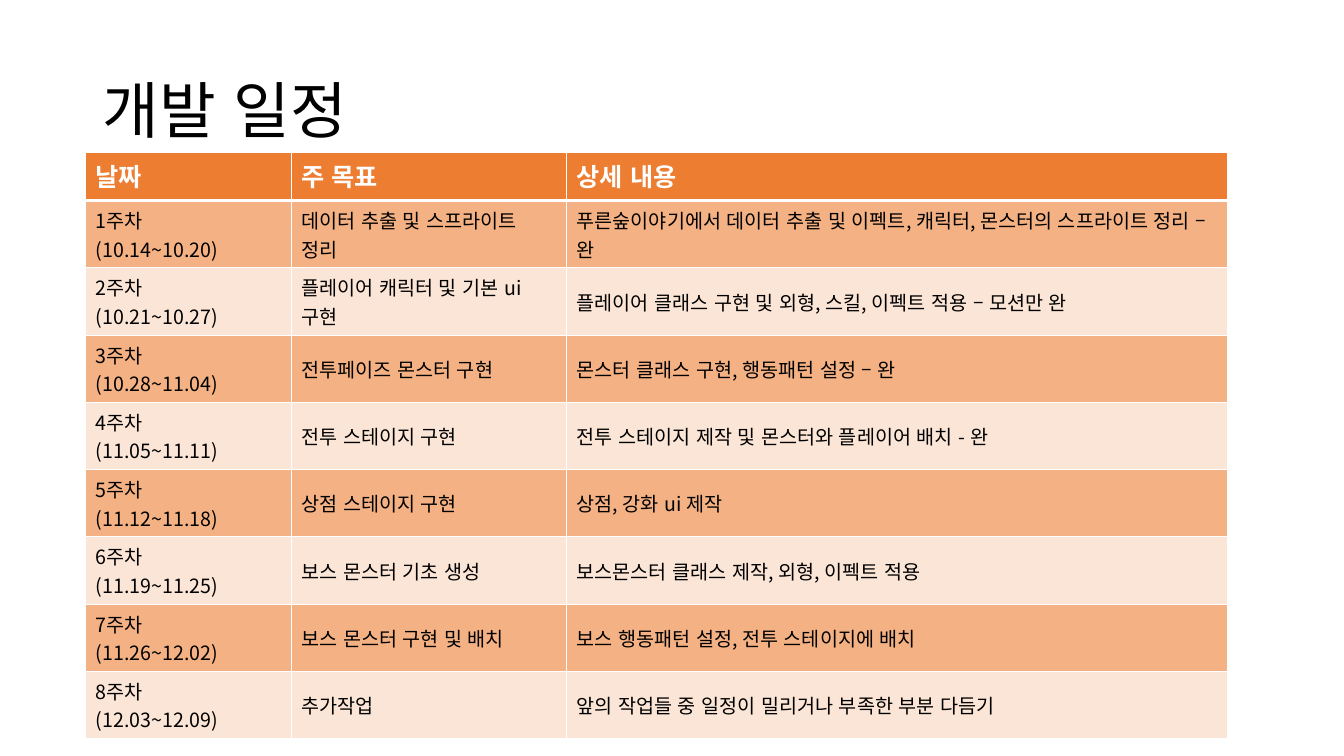
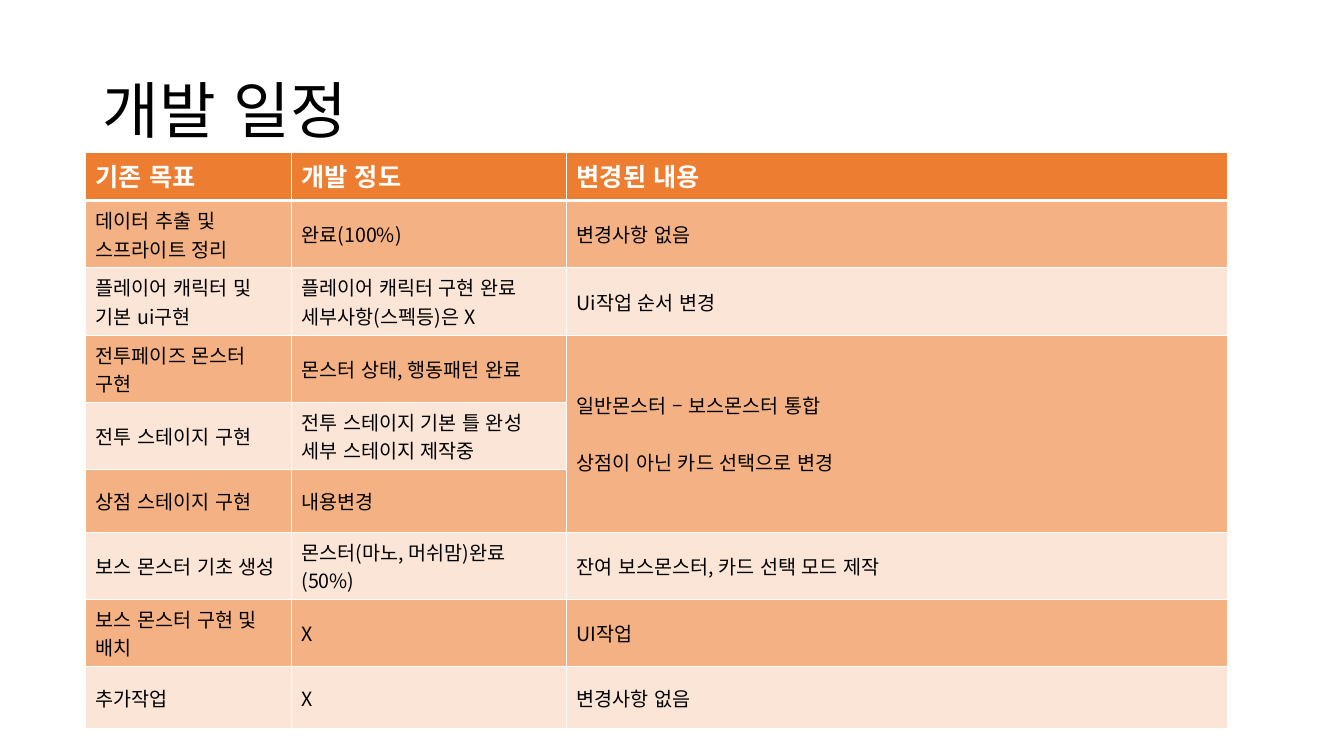
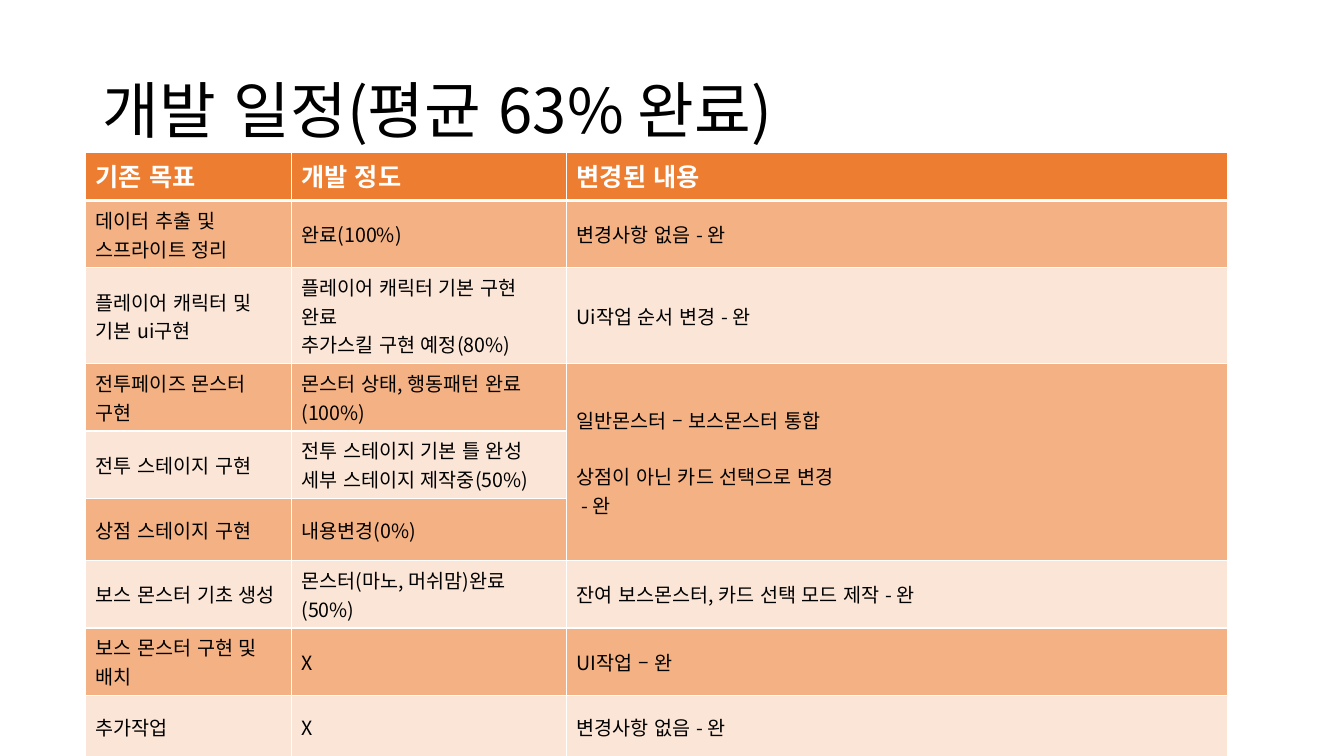
"""Build three slides with the development schedule of a game."""
from dataclasses import dataclass

from lxml.etree import SubElement
from pptx import Presentation
from pptx.dml.color import RGBColor as Rgb
from pptx.enum.lang import MSO_LANGUAGE_ID as Lang
from pptx.enum.text import MSO_ANCHOR as Anchor, PP_ALIGN as Align
from pptx.oxml import parse_xml
from pptx.oxml.ns import nsdecls, qn
from pptx.util import Inches, Pt

FONT = "Noto Sans CJK KR"
HUES = {
    "head": "ED7D31",
    "odd": "F4B183",
    "even": "FBE5D6",
    "white": "FFFFFF",
    "black": "000000",
}
COLS = (2.04, 2.73, 6.56)
HEAD_H, ROW_H = 0.48, 0.62
GOALS = (
    "데이터 추출 및 스프라이트 정리",
    "플레이어 캐릭터 및 기본 ui구현",
    "전투페이즈 몬스터 구현",
    "전투 스테이지 구현",
    "상점 스테이지 구현",
    "보스 몬스터 기초 생성",
    "보스 몬스터 구현 및 배치",
    "추가작업",
)
DATES = (
    "10.14~10.20", "10.21~10.27", "10.28~11.04", "11.05~11.11",
    "11.12~11.18", "11.19~11.25", "11.26~12.02", "12.03~12.09",
)
WEEKS = tuple(f"{num}주차\n({span})" for num, span in enumerate(DATES, 1))
STATE = ("기존 목표", "개발 정도", "변경된 내용")


@dataclass(frozen=True)
class Plan:
    """Hold one slide; None continues the cell above."""

    title: str
    heads: tuple[str, ...]
    cols: tuple[tuple[str | None, ...], ...]


PLANS = (
    Plan("개발 일정", ("날짜", "주 목표", "상세 내용"), (WEEKS, GOALS, (
        "푸른숲이야기에서 데이터 추출 및 이펙트, 캐릭터, 몬스터의 스프라이트 정리 – 완",
        "플레이어 클래스 구현 및 외형, 스킬, 이펙트 적용 – 모션만 완",
        "몬스터 클래스 구현, 행동패턴 설정 – 완",
        "전투 스테이지 제작 및 몬스터와 플레이어 배치 - 완",
        "상점, 강화 ui 제작",
        "보스몬스터 클래스 제작, 외형, 이펙트 적용",
        "보스 행동패턴 설정, 전투 스테이지에 배치",
        "앞의 작업들 중 일정이 밀리거나 부족한 부분 다듬기",
    ))),
    Plan("개발 일정", STATE, (GOALS, (
        "완료(100%)",
        "플레이어 캐릭터 구현 완료\n세부사항(스펙등)은 X",
        "몬스터 상태, 행동패턴 완료",
        "전투 스테이지 기본 틀 완성\n세부 스테이지 제작중",
        "내용변경",
        "몬스터(마노, 머쉬맘)완료(50%)",
        "X",
        "X",
    ), (
        "변경사항 없음",
        "Ui작업 순서 변경",
        "일반몬스터 – 보스몬스터 통합\n상점이 아닌 카드 선택으로 변경",
        None,
        None,
        "잔여 보스몬스터, 카드 선택 모드 제작",
        "UI작업",
        "변경사항 없음",
    ))),
    Plan("개발 일정(평균 63% 완료)", STATE, (GOALS, (
        "완료(100%)",
        "플레이어 캐릭터 기본 구현 완료\n추가스킬 구현 예정(80%)",
        "몬스터 상태, 행동패턴 완료(100%)",
        "전투 스테이지 기본 틀 완성\n세부 스테이지 제작중(50%)",
        "내용변경(0%)",
        "몬스터(마노, 머쉬맘)완료(50%)",
        "X",
        "X",
    ), (
        "변경사항 없음 - 완",
        "Ui작업 순서 변경 - 완",
        "일반몬스터 – 보스몬스터 통합\n상점이 아닌 카드 선택으로 변경\n - 완",
        None,
        None,
        "잔여 보스몬스터, 카드 선택 모드 제작 - 완",
        "UI작업 – 완",
        "변경사항 없음 - 완",
    ))),
)


def write(frame, text: str, size: int, hue: str, bold: bool = False) -> None:
    """Fill a text frame and format its runs."""
    frame.text = text
    for para in frame.paragraphs:
        para.alignment = Align.LEFT
        for run in para.runs:
            font = run.font
            font.size, font.bold, font.name = Pt(size), bold, FONT
            font.color.rgb = Rgb.from_string(HUES[hue])
            font.language_id = Lang.KOREAN
            SubElement(run._r.get_or_add_rPr(), qn("a:ea"), typeface=FONT)


def paint(cell, row: int) -> None:
    """Set the fill and the white borders of a cell."""
    hue = "head" if row == 0 else "odd" if row % 2 else "even"
    cell.fill.solid()
    cell.fill.fore_color.rgb = Rgb.from_string(HUES[hue])
    wide = {(0, "B"), (1, "T")}
    for spot, side in enumerate("LRTB"):
        width = Pt(3 if (row, side) in wide else 1)
        line = parse_xml(
            f'<a:ln{side} {nsdecls("a")} w="{width}"><a:solidFill>'
            f'<a:srgbClr val="{HUES["white"]}"/></a:solidFill></a:ln{side}>'
        )
        cell._tc.get_or_add_tcPr().insert(spot, line)


def draw_grid(slide, plan: Plan) -> None:
    """Draw the schedule table of a plan."""
    count = len(GOALS) + 1
    grid = slide.shapes.add_table(
        count, len(COLS), Inches(0.85), Inches(1.51),
        Inches(sum(COLS)), Inches(HEAD_H + ROW_H * len(GOALS)),
    ).table
    for row, line in enumerate(grid.rows):
        line.height = Inches(ROW_H if row else HEAD_H)
    for col, (head, texts) in enumerate(zip(plan.heads, plan.cols)):
        grid.columns[col].width = Inches(COLS[col])
        for row, text in enumerate((head, *texts)):
            cell = grid.cell(row, col)
            paint(cell, row)
            if row == 0:
                write(cell.text_frame, text, 18, "white", True)
            elif text is not None:
                write(cell.text_frame, text, 14, "black")
                cell.vertical_anchor = Anchor.MIDDLE
        gaps = [row for row, text in enumerate(texts, 1) if text is None]
        if gaps:
            top = grid.cell(gaps[0] - 1, col)
            top.merge(grid.cell(gaps[-1], col))
            top.text_frame.paragraphs[1].space_before = Pt(20)


def draw_slide(deck, plan: Plan) -> None:
    """Add one slide with its title and table."""
    slide = deck.slides.add_slide(deck.slide_layouts[5])
    title = slide.shapes.title
    title.left, title.top = Inches(0.92), Inches(0.4)
    title.width, title.height = Inches(11.5), Inches(1.45)
    write(title.text_frame, plan.title, 44, "black")
    title.text_frame.vertical_anchor = Anchor.MIDDLE
    title.text_frame.paragraphs[0].line_spacing = 0.9
    draw_grid(slide, plan)


def main() -> None:
    """Build and save the deck."""
    deck = Presentation()
    deck.slide_width, deck.slide_height = Inches(13.33), Inches(7.5)
    for plan in PLANS:
        draw_slide(deck, plan)
    deck.save("out.pptx")


if __name__ == "__main__":
    main()
